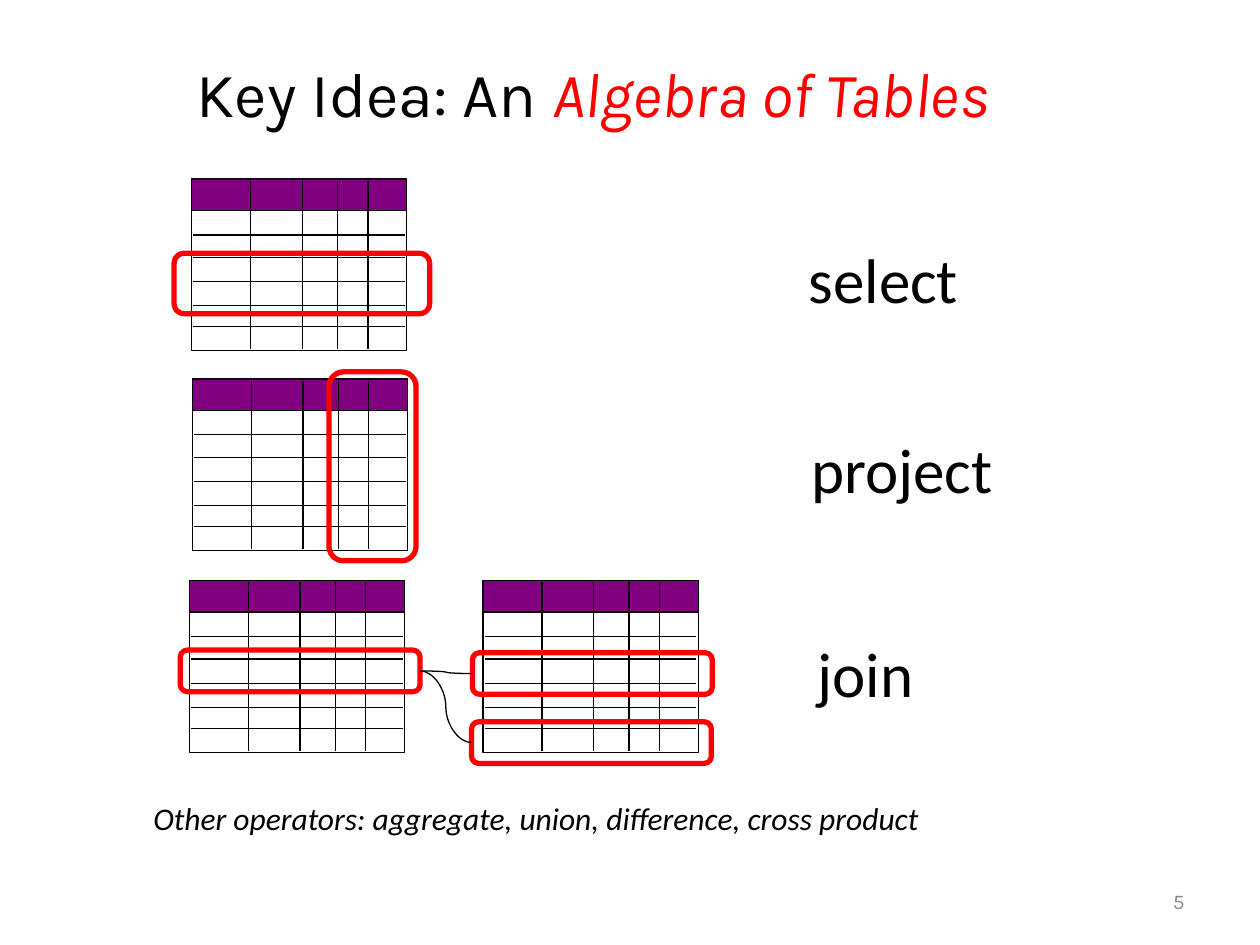
from lxml.etree import SubElement
from pptx import Presentation
from pptx.dml.color import RGBColor
from pptx.enum.shapes import MSO_CONNECTOR, MSO_SHAPE
from pptx.enum.text import MSO_ANCHOR, PP_ALIGN
from pptx.oxml.ns import qn
from pptx.util import Pt

COLORS = {
    "ink": "000000",
    "paper": "FFFFFF",
    "header": "800080",
    "accent": "FF0000",
    "muted": "898989",
}

TABLE_WIDTH, BODY_HEIGHT, HEADER_HEIGHT = 123, 97.2, 18
COLUMN_OFFSETS = [33.75, 63.25, 83.5, 100.75]
ROW_OFFSETS = [18, 32, 44.75, 58.75, 72.5, 84.5]
TABLES = [(109.5, 102.25), (110, 216.5), (108.25, 331.75), (276, 331.75)]

OPERATORS = [("select", 455, 134), ("project", 456.5, 242.5), ("join", 460, 359.25)]


def color(name):
    """Return the named colour."""
    return RGBColor.from_string(COLORS[name])


def style_line(line, name, width):
    """Set the colour and width of a line."""
    line.color.rgb = color(name)
    line.width = Pt(width)


def add_outline(page, kind, place, fill=None, line="ink", width=0.75):
    """Add a preset shape at (left, top, width, height), unfilled by default."""
    shape = page.shapes.add_shape(kind, *map(Pt, place))
    shape.shadow.inherit = False
    if fill:
        shape.fill.solid()
        shape.fill.fore_color.rgb = color(fill)
    else:
        shape.fill.background()
    style_line(shape.line, line, width)
    return shape


def add_line(page, ends, kind=MSO_CONNECTOR.STRAIGHT):
    """Add a thin line between the ends (x1, y1, x2, y2)."""
    line = page.shapes.add_connector(kind, *map(Pt, ends))
    style_line(line.line, "ink", 0.75)
    SubElement(line._element.spPr, qn("a:effectLst"))
    return line


def add_relation(page, left, top):
    """Draw a small relation: a body, a header band and its grid lines."""
    body_top = top + 1
    add_outline(page, MSO_SHAPE.RECTANGLE,
                (left, body_top, TABLE_WIDTH, BODY_HEIGHT), "paper")
    add_outline(page, MSO_SHAPE.RECTANGLE,
                (left, top, TABLE_WIDTH, HEADER_HEIGHT), "header")
    for offset in ROW_OFFSETS:
        add_line(page, (left + 1, top + offset, left + TABLE_WIDTH - 1, top + offset))
    for offset in COLUMN_OFFSETS:
        add_line(page, (left + offset, body_top,
                        left + offset, body_top + BODY_HEIGHT - 1))


def add_highlight(page, place):
    """Ring a part of a relation with a rounded red frame."""
    return add_outline(page, MSO_SHAPE.ROUNDED_RECTANGLE, place, line="accent", width=3)


def join_rows(page, source, target):
    """Link the right side of one frame to the left side of another."""
    link = add_line(page, (0, 0, 1, 1), MSO_CONNECTOR.CURVE)
    link.begin_connect(source, 3)
    link.end_connect(target, 1)


def add_span(para, text, name="ink", **format_values):
    """Add a run of text with its colour and font values."""
    span = para.add_run()
    span.text = text
    span.font.color.rgb = color(name)
    for key, value in format_values.items():
        setattr(span.font, key, value)


def add_text(page, place, text, name="ink", align=PP_ALIGN.LEFT,
             anchor=MSO_ANCHOR.TOP, **format_values):
    """Add a wrapped text box with one paragraph."""
    frame = page.shapes.add_textbox(*map(Pt, place)).text_frame
    frame.word_wrap = True
    frame.vertical_anchor = anchor
    para = frame.paragraphs[0]
    para.alignment = align
    add_span(para, text, name, **format_values)


def set_title(page):
    """Place and fill the title."""
    title = page.shapes.title
    place = {"left": 29.5, "top": 16.5, "width": 618.5, "height": 72}
    for key, value in place.items():
        setattr(title, key, Pt(value))
    title.text_frame.vertical_anchor = MSO_ANCHOR.MIDDLE
    para = title.text_frame.paragraphs[0]
    para.alignment = PP_ALIGN.CENTER
    font = {"name": "Karla", "size": Pt(36)}
    # The keyword "name" belongs to the colour, so the typeface is set below.
    add_span(para, "Key Idea: An ", size=font["size"])
    add_span(para, "Algebra of Tables", "accent", size=font["size"], italic=True)
    for span in para.runs:
        span.font.name = font["name"]


def set_typeface(page, typeface):
    """Give every text box run without a typeface the given one."""
    for shape in page.shapes:
        if shape.has_text_frame:
            for para in shape.text_frame.paragraphs:
                for span in para.runs:
                    span.font.name = span.font.name or typeface


def main():
    """Build the slide and save it."""
    deck = Presentation()
    deck.slide_width, deck.slide_height = Pt(720), Pt(540)
    page = deck.slides.add_slide(deck.slide_layouts[5])

    set_title(page)
    add_text(page, (516, 500.5, 168, 28.75), "5", "muted", PP_ALIGN.RIGHT,
             MSO_ANCHOR.MIDDLE, size=Pt(12))
    set_typeface(page, "Karla")

    for left, top in TABLES:
        add_relation(page, left, top)

    add_highlight(page, (99.5, 144.75, 146, 34.5))
    add_highlight(page, (188, 212.5, 49.75, 108))
    source, match, other_match = [
        add_highlight(page, (left, top, 137, 23.75))
        for left, top in [(103, 371.5), (270, 373), (269.5, 412.5)]
    ]
    for target in (match, other_match):
        join_rows(page, source, target)

    for text, left, top in OPERATORS:
        add_text(page, (left, top, 222.5, 50.5), text, size=Pt(36))
    add_text(page, (80.5, 453, 615.5, 36),
             "Other operators: aggregate, union, difference, cross product",
             size=Pt(18), italic=True)
    set_typeface(page, "Calibri")

    deck.save("out.pptx")


main()
